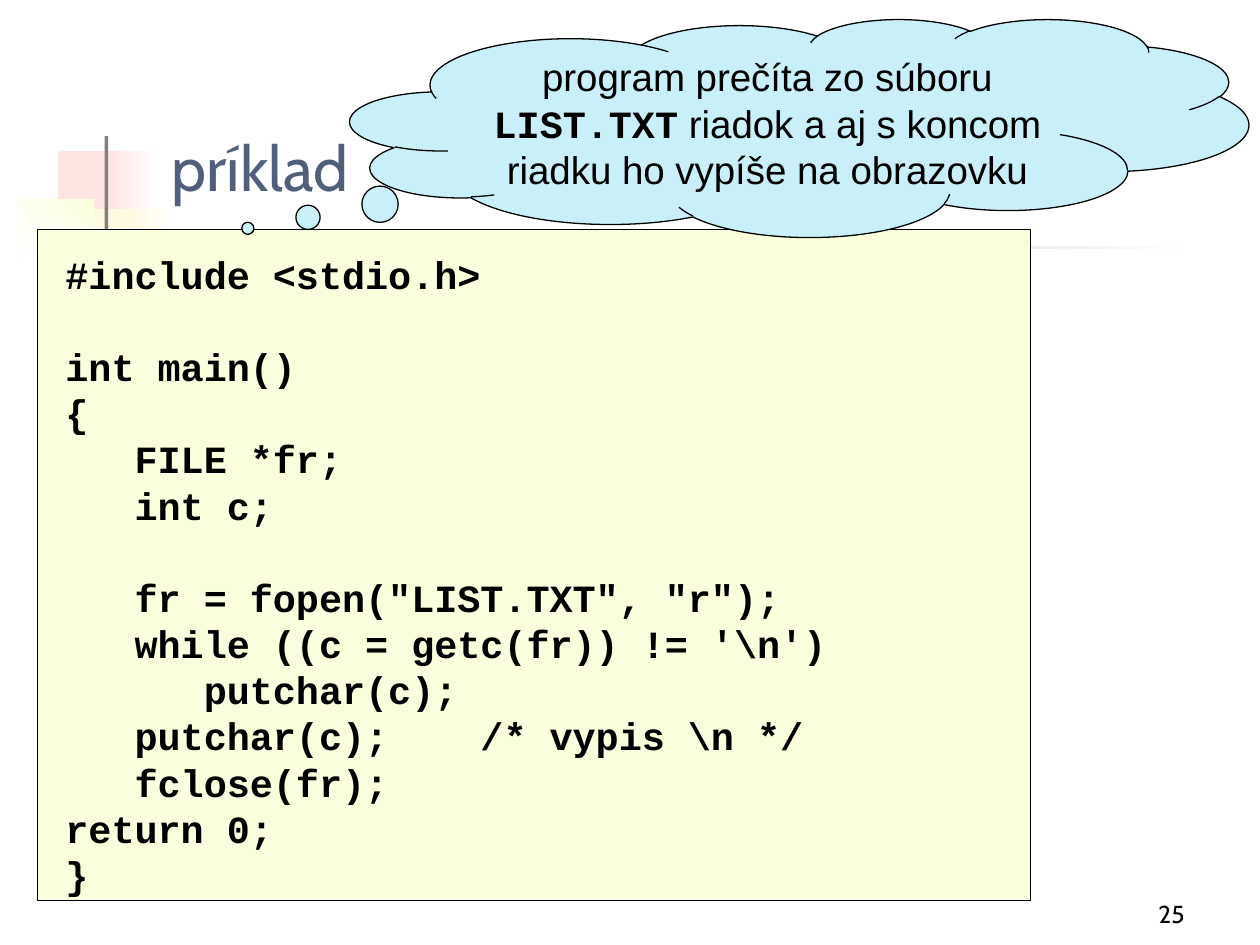
from dataclasses import dataclass
from typing import Optional

from pptx import Presentation
from pptx.dml.color import RGBColor
from pptx.enum.shapes import MSO_SHAPE as Shape
from pptx.enum.text import MSO_ANCHOR as Anchor, MSO_AUTO_SIZE as AutoSize, PP_ALIGN as Align
from pptx.util import Inches, Pt

COLORS = {
    "white": "FFFFFF",
    "black": "000000",
    "pink": "FFE5E1",
    "cream": "FFF9E1",
    "lime": "F9FFDD",
    "gray": "808080",
    "sky": "C9F0F9",
    "title": "515F7B",
}
CODE_SIZE = 22
LINE_PITCH = 26.4

CODE = r"""#include <stdio.h>

int main()
{
   FILE *fr;
   int c;

   fr = fopen("LIST.TXT", "r");
   while ((c = getc(fr)) != '\n')
      putchar(c);
   putchar(c);    /* vypis \n */
   fclose(fr);
return 0;
}"""


@dataclass(frozen=True)
class Block:
    left: float
    top: float
    width: float
    height: float
    color: str
    end_color: Optional[str] = None
    angle: float = 180  # counter-clockwise
    outlined: bool = False
    kind: Shape = Shape.RECTANGLE


DECORATIONS = [
    Block(0.46, 1.2, 0.48, 0.52, "pink"),
    Block(0.88, 1.2, 0.36, 0.52, "white", "pink"),
    Block(0.59, 1.66, 0.46, 0.52, "cream"),
    Block(1, 1.66, 0.4, 0.52, "white", "cream"),
    Block(0.14, 1.58, 0.61, 0.46, "lime", "white", angle=225),
    Block(0.83, 1.08, 0.03, 1.15, "gray"),
    Block(0.48, 1.95, 9, 0.03, "white", "gray"),
]
CODE_PANEL = Block(0.3, 1.82, 7.88, 5.33, "lime", outlined=True)
CLOUD = Block(2.78, 0.15, 7.13, 1.73, "sky", outlined=True, kind=Shape.CLOUD_CALLOUT)


def rgb(name: str) -> RGBColor:
    return RGBColor.from_string(COLORS[name])


def box(left: float, top: float, width: float, height: float) -> tuple:
    return Inches(left), Inches(top), Inches(width), Inches(height)


def add_block(slide, block: Block):
    shape = slide.shapes.add_shape(
        block.kind, *box(block.left, block.top, block.width, block.height))
    shape.shadow.inherit = False
    if block.end_color:
        shape.fill.gradient()
        shape.fill.gradient_angle = block.angle
        for stop, color in zip(shape.fill.gradient_stops, (block.color, block.end_color)):
            stop.color.rgb = rgb(color)
    else:
        shape.fill.solid()
        shape.fill.fore_color.rgb = rgb(block.color)
    if block.outlined:
        shape.line.color.rgb = rgb("black")
        shape.line.width = Pt(0.75)
    else:
        shape.line.fill.background()
    return shape


def add_text(paragraph, text: str, *, font: str, size: float, color: str = "black",
             bold: bool = False, align: Align = Align.LEFT) -> None:
    """Append a formatted run and align its paragraph."""
    paragraph.alignment = align
    run = paragraph.add_run()
    run.text = text
    run.font.name = font
    run.font.size = Pt(size)
    run.font.bold = bold
    run.font.color.rgb = rgb(color)


def set_frame(frame, *, anchor: Anchor = Anchor.TOP, wrap: bool = True,
              side: float = 0.1) -> None:
    frame.auto_size = AutoSize.NONE
    frame.word_wrap = wrap
    frame.vertical_anchor = anchor
    frame.margin_left = frame.margin_right = Inches(side)
    frame.margin_top = frame.margin_bottom = Inches(0.05)


def add_title(slide) -> None:
    title = slide.shapes.title
    title.left, title.top, title.width, title.height = box(1.26, 0.68, 8.52, 0.99)
    set_frame(title.text_frame, anchor=Anchor.BOTTOM)
    add_text(title.text_frame.paragraphs[0], "príklad", font="Cabin", size=36, color="title")


def add_code(slide) -> None:
    """Write one paragraph per code line; a blank line becomes space before the next."""
    add_block(slide, CODE_PANEL)
    frame = slide.shapes.add_textbox(*box(0.43, 1.94, 6.4, 5.22)).text_frame
    set_frame(frame, wrap=False, side=0.09)
    paragraph = frame.paragraphs[0]
    for number, group in enumerate(CODE.split("\n\n")):
        for index, line in enumerate(group.split("\n")):
            if number or index:
                paragraph = frame.add_paragraph()
            paragraph.line_spacing = Pt(LINE_PITCH)
            if number and index == 0:
                paragraph.space_before = Pt(LINE_PITCH)
            add_text(paragraph, line, font="Courier New", size=CODE_SIZE, bold=True)


def add_cloud(slide) -> None:
    cloud = add_block(slide, CLOUD)
    cloud.adjustments[0], cloud.adjustments[1] = -0.614, 0.461
    set_frame(cloud.text_frame, anchor=Anchor.MIDDLE, side=0.09)
    paragraph = cloud.text_frame.paragraphs[0]
    paragraph.line_spacing = Pt(LINE_PITCH)
    for text, font, bold in (
        ("program prečíta zo súboru ", "Arial", False),
        ("LIST.TXT", "Courier New", True),
        (" riadok a aj s koncom riadku ho vypíše na obrazovku", "Arial", False),
    ):
        add_text(paragraph, text, font=font, size=CODE_SIZE, bold=bold, align=Align.CENTER)


def add_page_number(slide) -> None:
    frame = slide.shapes.add_textbox(*box(7.42, 6.92, 2.08, 0.5)).text_frame
    set_frame(frame, anchor=Anchor.BOTTOM)
    add_text(frame.paragraphs[0], "25", font="Cabin", size=14, align=Align.RIGHT)


def main() -> None:
    presentation = Presentation()
    presentation.slide_width, presentation.slide_height = Inches(10), Inches(7.5)
    slide = presentation.slides.add_slide(presentation.slide_layouts[5])
    for block in DECORATIONS:
        add_block(slide, block)
    add_title(slide)
    add_code(slide)
    add_cloud(slide)
    add_page_number(slide)
    presentation.save("out.pptx")


if __name__ == "__main__":
    main()
